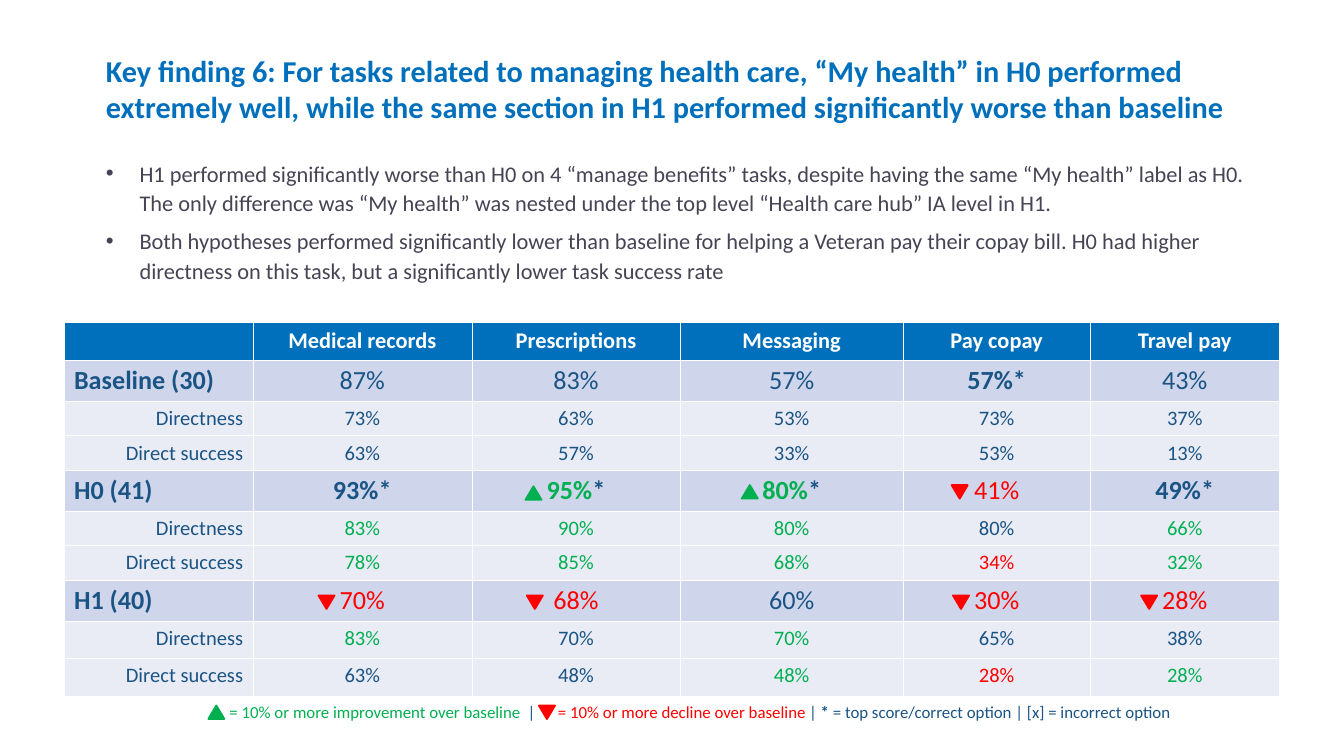
from dataclasses import dataclass

from lxml import etree
from pptx import Presentation
from pptx.dml.color import RGBColor
from pptx.enum.shapes import MSO_SHAPE
from pptx.enum.text import MSO_ANCHOR, PP_ALIGN
from pptx.oxml.ns import qn
from pptx.util import Pt

TRIANGLE = MSO_SHAPE.ISOSCELES_TRIANGLE
TOP, MIDDLE = MSO_ANCHOR.TOP, MSO_ANCHOR.MIDDLE
LEFT, CENTER, RIGHT = PP_ALIGN.LEFT, PP_ALIGN.CENTER, PP_ALIGN.RIGHT


@dataclass(frozen=True)
class Theme:
    font: str = "Calibri"
    blue: str = "0070BC"
    navy: str = "1A5484"
    gray: str = "454454"
    green: str = "00B050"
    red: str = "FF0000"
    white: str = "FFFFFF"
    group_fill: str = "CFD5EA"
    detail_fill: str = "E9EBF5"
    title_size: float = 16.2
    body_size: float = 12
    group_size: float = 14
    detail_size: float = 11
    legend_size: float = 9


THEME = Theme()
TONES = {"+": THEME.green, "-": THEME.red}

TITLE = (
    "Key finding 6: For tasks related to managing health care, “My health” in H0 performed "
    "extremely well, while the same section in H1 performed significantly worse than baseline"
)
FINDINGS = [
    "H1 performed significantly worse than H0 on 4 “manage benefits” tasks, despite having the same "
    "“My health” label as H0. The only difference was “My health” was nested under the top level "
    "“Health care hub” IA level in H1.",
    "Both hypotheses performed significantly lower than baseline for helping a Veteran pay their "
    "copay bill. H0 had higher directness on this task, but a significantly lower task success rate",
]
TASKS = ["", "Medical records", "Prescriptions", "Messaging", "Pay copay", "Travel pay"]
# A leading + marks improvement over baseline, a leading - marks decline.
RESULTS = [
    ["Baseline (30)", "87%", "83%", "57%", "57%*", "43%"],
    ["Directness", "73%", "63%", "53%", "73%", "37%"],
    ["Direct success", "63%", "57%", "33%", "53%", "13%"],
    ["H0 (41)", "93%*", "+95%*", "+80%*", "-41%", "49%*"],
    ["Directness", "+83%", "+90%", "+80%", "80%", "+66%"],
    ["Direct success", "+78%", "+85%", "+68%", "-34%", "+32%"],
    ["H1 (40)", "-70%", "-68%", "60%", "-30%", "-28%"],
    ["Directness", "+83%", "70%", "+70%", "65%", "38%"],
    ["Direct success", "63%", "48%", "+48%", "-28%", "+28%"],
]
COLUMN_WIDTHS = [100.8, 117.4, 111.6, 119.5, 100.1, 101.5]
ROW_HEIGHTS = [20.2] + [21.6, 18, 18] * 2 + [21.6, 20.2, 20.2]
LEGEND = [
    ("= 10% or more improvement over baseline", {"color": THEME.green}),
    (" ", {"spacing": 2}),
    ("|", {}),
    (" ", {"spacing": 10}),
    ("= 10% or more decline over baseline ", {"color": THEME.red}),
    ("| ", {}),
    ("*", {"bold": True}),
    (" = top score/correct option | [x] = incorrect option", {}),
]
UP_MARKERS = [(111.6, 378), (281.5, 260.6), (397.4, 259.9)]
DOWN_MARKERS = [(288.7, 378), (509.8, 259.9)] + [(x, 319) for x in (170.6, 282.2, 510.5, 611.3)]


def add_span(para, text, *, size, color=THEME.navy, bold=False, spacing=0):
    span = para.add_run()
    span.text = text
    span.font.name = THEME.font
    span.font.size = Pt(size)
    span.font.bold = bold
    span.font.color.rgb = RGBColor.from_string(color)
    if spacing:
        span.font._element.set("spc", str(spacing * 100))


class SlideBuilder:
    def __init__(self, page, theme):
        self.page = page
        self.theme = theme

    def text_box(self, left, top, width, height, anchor=TOP, margins=(7.2, 3.6)):
        box = self.page.shapes.add_textbox(Pt(left), Pt(top), Pt(width), Pt(height))
        frame = box.text_frame
        frame.word_wrap = True
        frame.vertical_anchor = anchor
        frame.margin_left = frame.margin_right = Pt(margins[0])
        frame.margin_top = frame.margin_bottom = Pt(margins[1])
        return frame

    def title(self, text):
        frame = self.text_box(49.7, 21.6, 620.6, 51.1, MIDDLE)
        add_span(frame.paragraphs[0], text, size=self.theme.title_size,
                 color=self.theme.blue, bold=True)

    def bullets(self, texts):
        frame = self.text_box(49.7, 80.6, 635.8, 83.5)
        for index, text in enumerate(texts):
            para = frame.add_paragraph() if index else frame.paragraphs[0]
            para.line_spacing = 1.1
            para.space_after = Pt(4.5)
            properties = para._p.get_or_add_pPr()
            properties.set("marL", str(Pt(18)))
            properties.set("indent", str(-Pt(18)))
            etree.SubElement(properties, qn("a:buFont"), typeface="Arial")
            etree.SubElement(properties, qn("a:buChar"), char="•")
            add_span(para, text, size=self.theme.body_size, color=self.theme.gray)

    def legend(self, spans):
        frame = self.text_box(49, 374.4, 651.6, 15.8, margins=(5.1, 2.6))
        para = frame.paragraphs[0]
        para.alignment = CENTER
        para.line_spacing = 0.9
        for text, style in spans:
            add_span(para, text, size=self.theme.legend_size, **style)

    def marker(self, left, top, color, rotation=0):
        shape = self.page.shapes.add_shape(TRIANGLE, Pt(left), Pt(top), Pt(8.6), Pt(7.2))
        shape.shadow.inherit = False
        shape.rotation = rotation
        shape.fill.solid()
        shape.fill.fore_color.rgb = RGBColor.from_string(color)
        shape.line.color.rgb = RGBColor.from_string(color)
        shape.line.width = Pt(1)

    def cell(self, cell, fill, alignment, anchor=TOP, space_after=0):
        cell.margin_left = cell.margin_right = Pt(5.1)
        cell.margin_top = cell.margin_bottom = Pt(2.6)
        cell.vertical_anchor = anchor
        properties = cell._tc.get_or_add_tcPr()
        for side in ("a:lnL", "a:lnR", "a:lnT", "a:lnB"):
            border = etree.SubElement(properties, qn(side), w=str(Pt(0.25)))
            solid = etree.SubElement(border, qn("a:solidFill"))
            etree.SubElement(solid, qn("a:srgbClr"), val=self.theme.white)
        cell.fill.solid()
        cell.fill.fore_color.rgb = RGBColor.from_string(fill)
        para = cell.text_frame.paragraphs[0]
        para.alignment = alignment
        if space_after:
            para.space_after = Pt(space_after)
        return para

    def score(self, para, value, size):
        color = TONES.get(value[0], self.theme.navy)
        number = value.lstrip("+-")
        bold = number.endswith("*")
        add_span(para, number.rstrip("*"), size=size, color=color, bold=bold)
        if bold:
            add_span(para, "*", size=size, bold=True)

    def results_table(self, headings, results):
        theme = self.theme
        table = self.page.shapes.add_table(
            len(results) + 1, len(headings), Pt(34.6), Pt(172.8),
            Pt(sum(COLUMN_WIDTHS)), Pt(sum(ROW_HEIGHTS))).table
        table.horz_banding = False
        for column, width in zip(table.columns, COLUMN_WIDTHS):
            column.width = Pt(width)
        for row, height in zip(table.rows, ROW_HEIGHTS):
            row.height = Pt(height)
        for column, heading in enumerate(headings):
            para = self.cell(table.cell(0, column), theme.blue, CENTER)
            if heading:
                add_span(para, heading, size=theme.body_size, color=theme.white, bold=True)
            else:
                etree.SubElement(para._p, qn("a:endParaRPr"), sz=str(theme.body_size * 100))
        for row, (label, *scores) in enumerate(results):
            is_group = row % 3 == 0
            is_baseline = row < 3
            fill = theme.group_fill if is_group else theme.detail_fill
            size = theme.group_size if is_group else theme.detail_size
            para = self.cell(table.cell(row + 1, 0), fill, LEFT if is_group else RIGHT,
                             space_after=4 if is_group and not is_baseline else 0)
            add_span(para, label, size=size, bold=is_group)
            for column, value in enumerate(scores, 1):
                para = self.cell(table.cell(row + 1, column), fill, CENTER,
                                 MIDDLE if is_baseline else TOP,
                                 0 if is_baseline or column == 1 else 4)
                self.score(para, value, size)


def main():
    deck = Presentation()
    deck.slide_width, deck.slide_height = Pt(720), Pt(405)
    builder = SlideBuilder(deck.slides.add_slide(deck.slide_layouts[6]), THEME)
    builder.title(TITLE)
    builder.bullets(FINDINGS)
    builder.legend(LEGEND)
    builder.results_table(TASKS, RESULTS)
    for left, top in UP_MARKERS:
        builder.marker(left, top, THEME.green)
    for left, top in DOWN_MARKERS:
        builder.marker(left, top, THEME.red, 180)
    deck.save("out.pptx")


if __name__ == "__main__":
    main()
